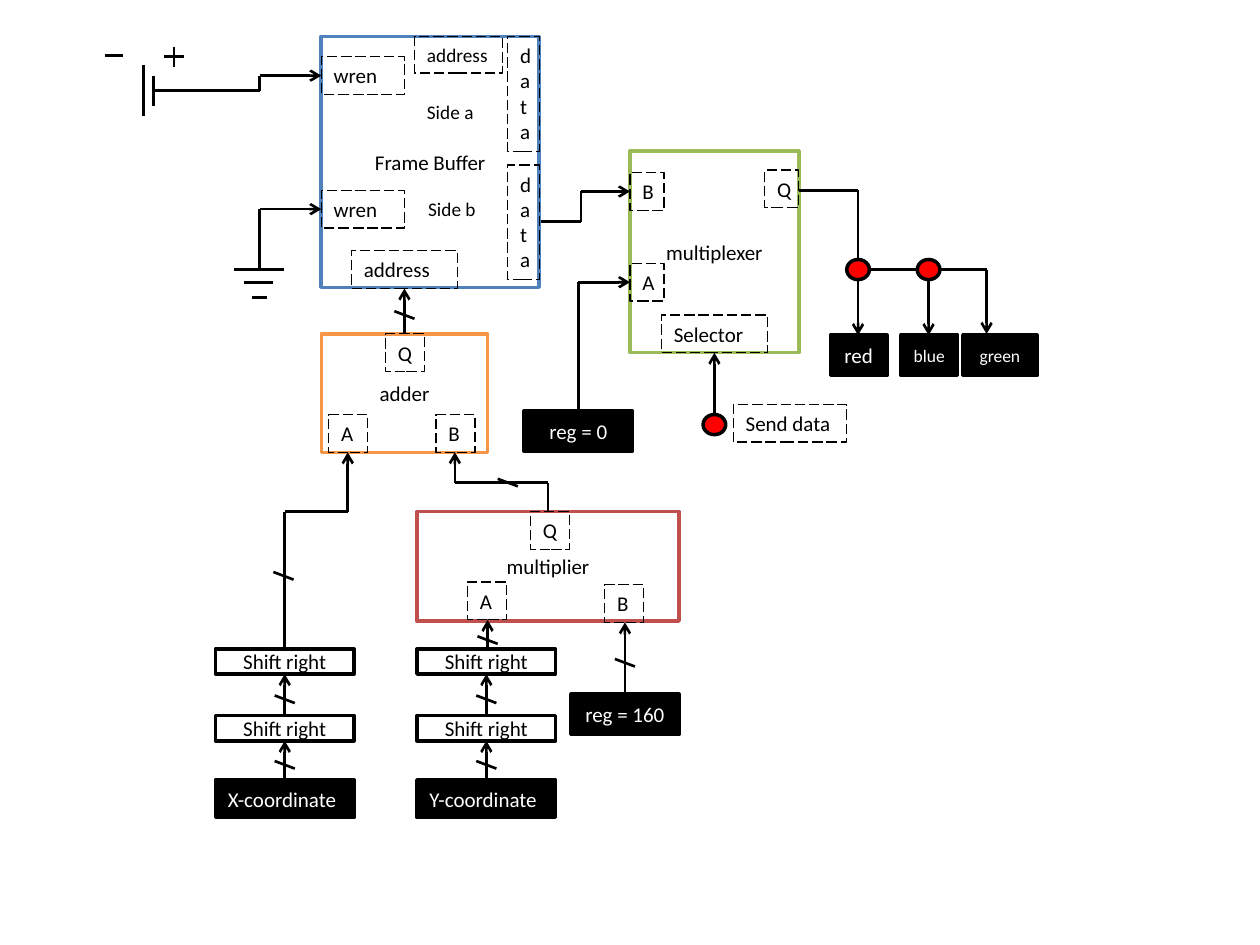
from itertools import pairwise

from lxml.etree import SubElement
from pptx import Presentation
from pptx.dml.color import RGBColor
from pptx.enum.dml import MSO_LINE
from pptx.enum.shapes import MSO_CONNECTOR, MSO_SHAPE
from pptx.enum.text import MSO_ANCHOR as Anchor, MSO_AUTO_SIZE as AutoSize, PP_ALIGN as Align
from pptx.oxml.ns import qn
from pptx.util import Inches, Pt

BLACK, WHITE, RED = "000000", "FFFFFF", "FF0000"
BLUE, GREEN, ORANGE, BRICK = "4F81BD", "9BBB59", "F79646", "C0504D"


def rgb(value):
    return RGBColor.from_string(value)


def write(box, text, size=12, color=BLACK, font="Calibri", centered=True, grow=False):
    frame = box.text_frame
    frame.word_wrap = True
    frame.auto_size = AutoSize.SHAPE_TO_FIT_TEXT if grow else AutoSize.NONE
    frame.vertical_anchor = Anchor.MIDDLE if centered else Anchor.TOP
    para = frame.paragraphs[0]
    para.alignment = Align.CENTER if centered else Align.LEFT
    span = para.add_run()
    span.text = text
    span.font.name, span.font.size = font, Pt(size)
    span.font.color.rgb = rgb(color)


class Diagram:
    """Holds the line style and the page being drawn."""

    outline, wire_width, dash_width = 2, 1.5, 0.75

    def __init__(self, page):
        self.page = page

    def shape(self, kind, left, top, width, height, fill, line, weight):
        box = self.page.shapes.add_shape(
            kind, Inches(left), Inches(top), Inches(width), Inches(height))
        box.shadow.inherit = False
        if fill:
            box.fill.solid()
            box.fill.fore_color.rgb = rgb(fill)
        else:
            box.fill.background()
        box.line.color.rgb = rgb(line)
        box.line.width = Pt(weight)
        return box

    def block(self, text, left, top, width, height, line=BLACK, fill=WHITE, **text_format):
        box = self.shape(MSO_SHAPE.RECTANGLE, left, top, width, height,
                         fill, line, self.outline)
        write(box, text, **text_format)

    def register(self, text, left, top, width=0.86, height=0.32, **text_format):
        self.block(text, left, top, width, height, fill=BLACK, color=WHITE, **text_format)

    def port(self, text, left, top, width=0.31, height=0.3, size=12):
        box = self.shape(MSO_SHAPE.RECTANGLE, left, top, width, height,
                         None, BLACK, self.dash_width)
        box.line.dash_style = MSO_LINE.LONG_DASH
        write(box, text, size=size, centered=False, grow=True)

    def label(self, text, left, top, width=0.64, height=0.29):
        box = self.page.shapes.add_textbox(
            Inches(left), Inches(top), Inches(width), Inches(height))
        write(box, text, size=11, centered=False, grow=True)

    def node(self, left, top):
        self.shape(MSO_SHAPE.OVAL, left, top, 0.18, 0.16, RED, BLACK, self.outline)

    def wire(self, *points, arrow=True):
        """Straight segments through the points, with an arrowhead on the last."""
        for start, end in pairwise(points):
            line = self.page.shapes.add_connector(
                MSO_CONNECTOR.STRAIGHT, *map(Inches, start + end))
            line.line.color.rgb = rgb(BLACK)
            line.line.width = Pt(self.wire_width)
            properties = line._element.spPr
            if arrow and end == points[-1]:
                SubElement(properties.find(qn("a:ln")), qn("a:tailEnd"), type="arrow")
            SubElement(properties, qn("a:effectLst"))

    def bus_mark(self, left, top):
        self.wire((left, top), (left + 0.16, top + 0.06), arrow=False)


def draw_coordinates(diagram):
    for name, left in (("X-coordinate", 1.71), ("Y-coordinate", 3.31)):
        center = left + 0.55
        diagram.register(name, left, 6.19, 1.1, 0.3, centered=False, grow=True)
        for top, below in ((5.68, 6.19), (5.15, 5.68)):
            diagram.block("Shift right", left, top, 1.1, 0.2)
            diagram.wire((center, below), (center, top + 0.2))
        for top in (5.52, 6.04):
            diagram.bus_mark(center - 0.08, top)


def draw_multiplier(diagram):
    diagram.block("multiplier", 3.31, 4.06, 2.08, 0.87, line=BRICK)
    for name, left, top in (("A", 3.71, 4.62), ("B", 4.8, 4.64), ("Q", 4.21, 4.06)):
        diagram.port(name, left, top)
    diagram.register("reg = 160", 4.53, 5.51)
    diagram.wire((4.96, 5.51), (4.96, 4.94))
    diagram.wire((3.87, 5.15), (3.87, 4.92))
    diagram.bus_mark(4.88, 5.23)
    diagram.bus_mark(3.79, 5.05)


def draw_adder(diagram):
    diagram.block("adder", 2.55, 2.65, 1.32, 0.94, line=ORANGE)
    for name, left, top in (("A", 2.61, 3.29), ("B", 3.46, 3.29), ("Q", 3.06, 2.65)):
        diagram.port(name, left, top)
    diagram.wire((4.35, 4.06), (4.35, 3.83), (3.61, 3.83), (3.61, 3.59))
    diagram.wire((2.26, 5.15), (2.26, 4.06), (2.76, 4.06), (2.76, 3.59))
    diagram.bus_mark(2.17, 4.54)
    diagram.bus_mark(3.95, 3.8)


def draw_frame_buffer(diagram):
    diagram.block("Frame Buffer", 2.55, 0.29, 1.73, 1.99, line=BLUE)
    diagram.port("address", 3.29, 0.29, 0.7, 0.29, size=11)
    diagram.port("address", 2.79, 1.99, 0.84)
    for side, label_left, label_top, wren_top, data_top in (
            ("a", 3.29, 0.75, 0.45, 0.29), ("b", 3.3, 1.52, 1.51, 1.31)):
        diagram.label(f"Side {side}", label_left, label_top)
        diagram.port("wren", 2.55, wren_top, 0.66)
        diagram.port("data", 4.03, data_top, 0.25, 0.91)
    diagram.wire((3.21, 2.65), (3.21, 2.29))
    diagram.bus_mark(3.13, 2.47)


def draw_supply(diagram):
    # Ground
    diagram.wire((2.06, 2.14), (2.06, 1.66), (2.55, 1.66))
    for left, right, y in ((1.86, 2.25, 2.14), (1.94, 2.17, 2.24), (2, 2.12, 2.36)):
        diagram.wire((left, y), (right, y), arrow=False)
    # Battery plates, then the plus and minus signs
    diagram.wire((1.22, 0.72), (2.06, 0.72), (2.06, 0.6), (2.55, 0.6))
    for start, end in (((1.14, 0.52), (1.14, 0.92)), ((1.22, 0.6), (1.22, 0.84)),
                       ((1.38, 0.37), (1.38, 0.53)), ((1.3, 0.45), (1.46, 0.45)),
                       ((0.83, 0.44), (0.98, 0.44))):
        diagram.wire(start, end, arrow=False)


def draw_multiplexer(diagram):
    diagram.block("multiplexer", 5, 1.2, 1.34, 1.6, line=GREEN)
    for name, left, top in (("A", 5, 2.09), ("B", 5, 1.37), ("Q", 6.07, 1.35)):
        diagram.port(name, left, top, 0.27)
    diagram.port("Selector", 5.25, 2.5, 0.84)
    diagram.port("Send data", 5.82, 3.21, 0.9)
    diagram.node(5.58, 3.29)
    diagram.wire((5.67, 3.29), (5.67, 2.8))
    diagram.register("reg = 0", 4.16, 3.26)
    diagram.wire((4.59, 3.26), (4.59, 2.24), (5, 2.24))
    diagram.wire((4.28, 1.76), (4.61, 1.76), (4.61, 1.52), (5, 1.52))


def draw_color_outputs(diagram):
    diagram.wire((6.34, 1.51), (6.81, 1.51), (6.81, 2.14), arrow=False)
    diagram.wire((6.9, 2.14), (7.28, 2.14), arrow=False)
    diagram.wire((7.46, 2.14), (7.83, 2.14), (7.83, 2.65))
    for center in (6.81, 7.37):
        diagram.node(center - 0.09, 2.06)
        diagram.wire((center, 2.22), (center, 2.66))
    for name, left, width, size in (
            ("red", 6.59, 0.45, 12), ("blue", 7.15, 0.45, 10), ("green", 7.64, 0.59, 10)):
        diagram.register(name, left, 2.66, width, size=size)


def main():
    deck = Presentation()
    deck.slide_width, deck.slide_height = Inches(10), Inches(7.5)
    diagram = Diagram(deck.slides.add_slide(deck.slide_layouts[6]))
    for draw in (draw_multiplexer, draw_coordinates, draw_multiplier, draw_adder,
                 draw_frame_buffer, draw_supply, draw_color_outputs):
        draw(diagram)
    deck.save("out.pptx")


if __name__ == "__main__":
    main()
